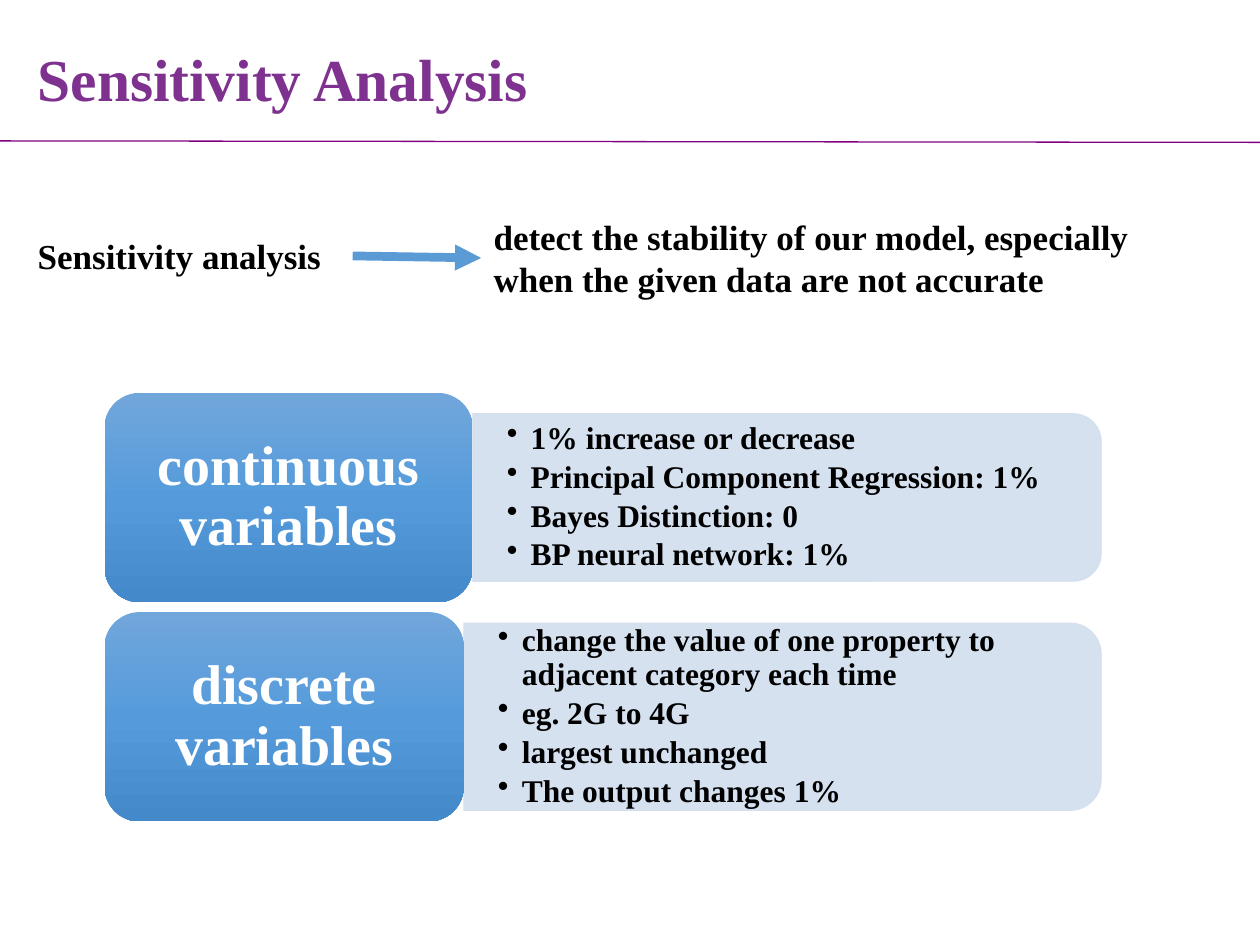
from copy import deepcopy
from dataclasses import dataclass

from pptx import Presentation
from pptx.dml.color import RGBColor
from pptx.enum.dml import MSO_LINE
from pptx.enum.shapes import MSO_CONNECTOR, MSO_SHAPE
from pptx.enum.text import MSO_ANCHOR, MSO_AUTO_SIZE, PP_ALIGN
from pptx.oxml.ns import qn
from pptx.shapes.autoshape import Shape
from pptx.shapes.connector import Connector
from pptx.shapes.shapetree import SlideShapes
from pptx.text.text import TextFrame
from pptx.util import Cm, Pt
from lxml.etree import SubElement

STRAIGHT = MSO_CONNECTOR.STRAIGHT
ROUND = MSO_SHAPE.ROUNDED_RECTANGLE
TAB = MSO_SHAPE.ROUND_2_SAME_RECTANGLE
MIDDLE = MSO_ANCHOR.MIDDLE
CENTER = PP_ALIGN.CENTER
GROW = MSO_AUTO_SIZE.SHAPE_TO_FIT_TEXT
SOLID = MSO_LINE.SOLID

FONT = "Times New Roman"
COLORS = {
    "title": "7E318E", "rule": "800080", "text": "000000", "white": "FFFFFF",
    "arrow": "5B9BD5", "panel": "D2DEEF",
    "top": "71A6DB", "mid": "559BDB", "base": "448ACA",
}
LEFT, RIGHT = 2.11, 22.2
TOP, HIGH, PITCH = 7.92, 4.22, 4.42


@dataclass
class Row:
    name: str
    wide: float
    tall: float
    points: list[str]


ROWS = [
    Row("continuous variables", 7.42, 3.38, [
        "1% increase or decrease",
        "Principal Component Regression: 1%",
        "Bayes Distinction: 0",
        "BP neural network: 1%",
    ]),
    Row("discrete variables", 7.24, 3.78, [
        "change the value of one property to adjacent category each time",
        "eg. 2G to 4G",
        "largest unchanged",
        "The output changes 1%",
    ]),
]


def color(name: str) -> RGBColor:
    return RGBColor.from_string(COLORS[name])


def write(frame: TextFrame, lines: list[str], size: float, ink: str,
          space: float = 1.0, after: float = 0) -> None:
    for i, line in enumerate(lines):
        para = frame.add_paragraph() if i else frame.paragraphs[0]
        para.text = line
        para.line_spacing = space
        para.space_after = Pt(after)
        font = para.font
        font.name, font.size, font.bold = FONT, Pt(size), True
        font.color.rgb = color(ink)


def inset(frame: TextFrame, side: float, edge: float) -> None:
    frame.margin_left = frame.margin_right = Cm(side)
    frame.margin_top = frame.margin_bottom = Cm(edge)
    frame.vertical_anchor = MIDDLE
    frame.word_wrap = True


def add_label(shapes: SlideShapes, box: tuple[float, ...], text: str,
              size: float, ink: str, space: float = 1.0, wrap: bool = True) -> Shape:
    label = shapes.add_textbox(*map(Cm, box))
    frame = label.text_frame
    frame.word_wrap, frame.auto_size = wrap, GROW
    write(frame, [text], size, ink, space)
    return label


def add_line(shapes: SlideShapes, ends: tuple[float, ...], ink: str,
             width: float) -> Connector:
    line = shapes.add_connector(STRAIGHT, *map(Cm, ends))
    line.line.color.rgb, line.line.width = color(ink), Pt(width)
    SubElement(line._element.spPr, qn("a:effectLst"))
    return line


def add_panel(shapes: SlideShapes, row: Row, mid: float) -> None:
    left = LEFT + row.wide
    wide = RIGHT - left
    panel = shapes.add_shape(TAB, Cm(left + (wide - row.tall) / 2),
                             Cm(mid - wide / 2), Cm(row.tall), Cm(wide))
    panel.rotation = 90
    panel.shadow.inherit = False
    panel.fill.solid()
    panel.fill.fore_color.rgb = color("panel")
    panel.line.color.rgb = color("panel")
    panel.line.width, panel.line.dash_style = Pt(0.5), SOLID
    for node in panel._element.spPr.iter(qn("a:srgbClr")):
        SubElement(node, qn("a:alpha"), val="90000")

    tall = row.tall - 0.36
    box = shapes.add_textbox(Cm(left), Cm(mid - tall / 2), Cm(wide - 0.18), Cm(tall))
    frame = box.text_frame
    inset(frame, 0.69, 0.36)
    write(frame, row.points, 18, "text", 0.9, 2.7)
    for para in frame.paragraphs:
        para.level = 1
        props = para._p.get_or_add_pPr()
        props.set("marL", str(Cm(0.48)))
        props.set("indent", str(-Cm(0.48)))
        SubElement(props, qn("a:buChar"), char="•")
        props.append(props.find(qn("a:defRPr")))


def add_tile(shapes: SlideShapes, row: Row, top: float) -> None:
    tile = shapes.add_shape(ROUND, Cm(LEFT), Cm(top), Cm(row.wide), Cm(HIGH))
    tile.shadow.inherit = False
    tile.line.fill.background()
    fill = tile.fill
    fill.gradient()
    fill.gradient_angle = 270
    first = tile._element.spPr.find(".//" + qn("a:gs"))
    first.addnext(deepcopy(first))
    for stop, name, place in zip(fill.gradient_stops, ("top", "mid", "base"), (0, 0.5, 1)):
        stop.color.rgb, stop.position = color(name), place
    inset(tile.text_frame, 0.53, 0.38)
    write(tile.text_frame, [row.name], 32, "white", 0.9)
    tile.text_frame.paragraphs[0].alignment = CENTER


def main() -> None:
    """Build the sensitivity analysis slide."""
    deck = Presentation()
    deck.slide_width, deck.slide_height = Cm(25.4), Cm(19.05)
    shapes = deck.slides.add_slide(deck.slide_layouts[6]).shapes

    add_line(shapes, (0, 2.84, 25.4, 2.87), "rule", 0.75)
    goal = add_label(shapes, (9.7, 4.22, 14.4, 1.96),
                     "detect the stability of our model, especially when the given "
                     "data are not accurate", 20, "text")
    term = add_label(shapes, (0.51, 4.6, 6.6, 1.12), "Sensitivity analysis", 20, "text")
    arrow = add_line(shapes, (7.11, 5.16, 9.7, 5.2), "arrow", 5)
    arrow.begin_connect(term, 3)
    arrow.end_connect(goal, 1)
    SubElement(arrow.line._get_or_add_ln(), qn("a:tailEnd"), type="triangle")

    for i, row in enumerate(ROWS):
        top = TOP + i * PITCH
        add_panel(shapes, row, top + HIGH / 2)
        add_tile(shapes, row, top)

    add_label(shapes, (0.51, 0.3, 10.52, 1.96), "Sensitivity Analysis", 34, "title",
              1.3, False)
    deck.save("out.pptx")


if __name__ == "__main__":
    main()
